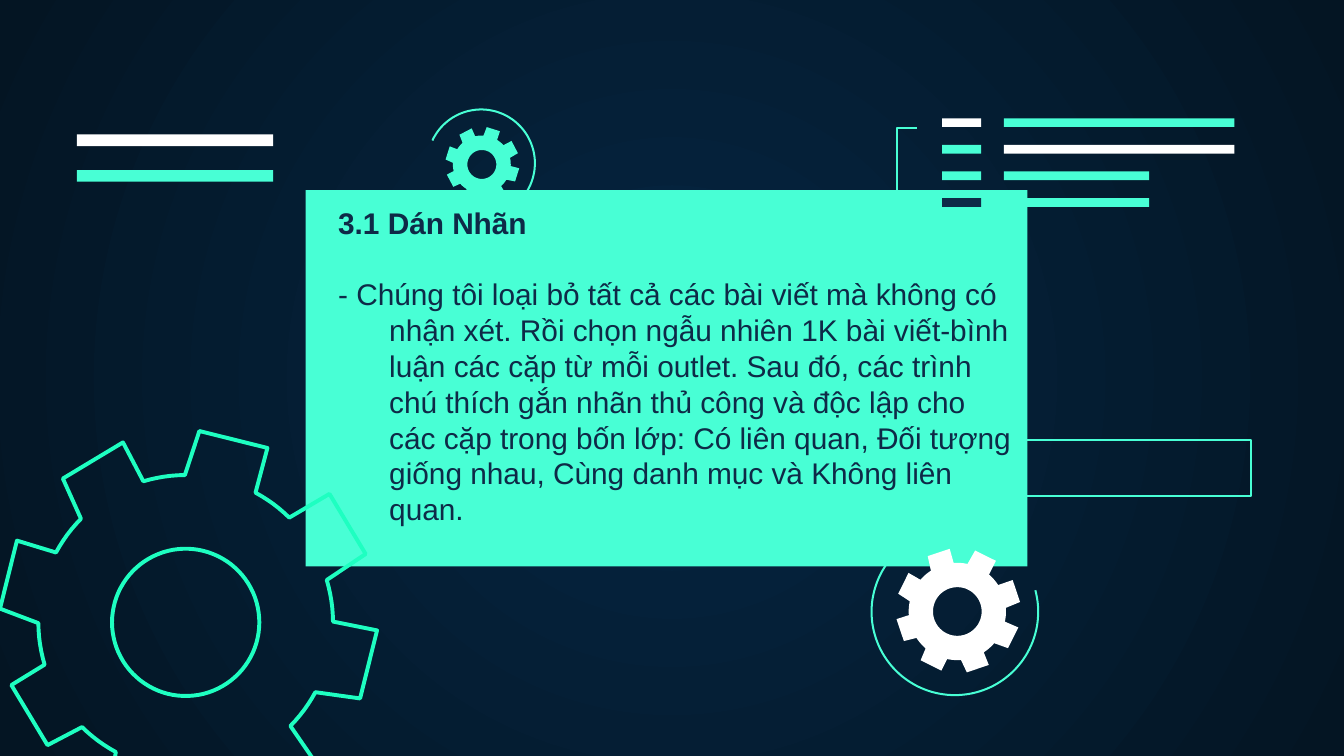
"""Build the labelling slide: a text panel among gears, arcs and bars."""
from dataclasses import dataclass
from math import cos, radians, sin

from lxml import etree
from pptx import Presentation
from pptx.dml.color import RGBColor
from pptx.enum.shapes import MSO_SHAPE
from pptx.enum.text import MSO_ANCHOR, PP_ALIGN
from pptx.oxml.ns import qn
from pptx.util import Inches, Pt

RECT = MSO_SHAPE.RECTANGLE
TOP = MSO_ANCHOR.TOP
LEFT = PP_ALIGN.LEFT


@dataclass(frozen=True)
class Theme:
    mint: str = "48FFD5"
    green: str = "1EFFC1"
    white: str = "FFFFFF"
    navy: str = "0E2A47"
    glow: str = "052643"
    night: str = "041523"
    font: str = "Arial"
    size: float = 16
    thin: float = 1.09
    thick: float = 2.1


T = Theme()
prs = Presentation()
prs.slide_width = Inches(10)
prs.slide_height = prs.slide_width * 9 // 16
U = prs.slide_width / 100
s = prs.slides.add_slide(prs.slide_layouts[6])


def arc(cx, cy, r, start, end, steps):
    angles = [radians(start + (end - start) * i / steps) for i in range(steps + 1)]
    return [(cx + r * cos(a), cy + r * sin(a)) for a in angles]


def paint(sp, fill, line, width):
    sp.shadow.inherit = False
    if fill:
        sp.fill.solid()
        sp.fill.fore_color.rgb = RGBColor.from_string(fill)
    else:
        sp.fill.background()
    if line:
        sp.line.color.rgb = RGBColor.from_string(line)
        sp.line.width = Pt(width)
    else:
        sp.line.fill.background()


bg = s.background.fill
bg.gradient()
for stop, color in zip(bg.gradient_stops, (T.glow, T.night)):
    stop.color.rgb = RGBColor.from_string(color)
grad = s.element.find(".//" + qn("a:gradFill"))
grad.remove(grad.find(qn("a:lin")))
shade = etree.SubElement(grad, qn("a:path"), path="circle")
etree.SubElement(shade, qn("a:fillToRect"), l="50000", t="50000", r="50000", b="50000")

boxes = [
    (22.75, 14.15, 53.7, 28, T.mint, None),
    (5.73, 10, 14.6, 0.87, T.white, None),
    (5.73, 12.65, 14.6, 0.87, T.mint, None),
    (72, 32.75, 21.1, 4.15, None, T.mint),
]
code_rows = [
    (T.white, T.mint, 17.15),
    (T.mint, T.white, 17.15),
    (T.mint, T.mint, 10.8),
    (T.navy, T.mint, 10.8),
]
for row, (tag, bar, width) in enumerate(code_rows):
    y = 8.8 + 1.98 * row
    boxes += [(70.1, y, 2.9, 0.65, tag, None), (74.7, y, width, 0.65, bar, None)]
for x, y, w, h, fill, line in boxes:
    sp = s.shapes.add_shape(RECT, *(round(v * U) for v in (x, y, w, h)))
    paint(sp, fill, line, T.thin)

outlines = [
    ([arc(35.8, 12.15, 4, 205, 456, 90)], False, None, T.mint, T.thin),
    ([arc(71.05, 45.53, 6.2, -15, 233, 90)], False, None, T.mint, T.thin),
    ([[(68.3, 15.6), (66.75, 15.6), (66.75, 9.5), (68.2, 9.5)]],
     False, None, T.mint, T.thin),
]
gears = [
    (14.03, 46.1, 14.05, 14, None, T.green),
    (71.3, 45.43, 4.64, 26.4, T.white, None),
    (35.9, 12.2, 2.76, 17.5, T.mint, None),
]
for cx, cy, r, phase, fill, line in gears:
    hub = (cx - 0.015 * r, cy + 0.015 * r)
    rim = []
    for mid in range(0, 360, 45):
        a = phase + mid
        rim += arc(cx, cy, r, a - 10.7, a + 10.7, 1)
        rim += arc(*hub, 0.78 * r, a + 14.3, a + 30.7, 6)
    outlines.append(([rim, arc(*hub, 0.39 * r, 360, 0, 90)], True, fill, line, T.thick))
for contours, close, fill, line, width in outlines:
    first, *others = [[(x * U, y * U) for x, y in c] for c in contours]
    pen = s.shapes.build_freeform(*first[0])
    pen.add_line_segments(first[1:], close=close)
    for contour in others:
        pen.move_to(*contour[0])
        pen.add_line_segments(contour[1:], close=close)
    paint(pen.convert_to_shape(), fill, line, width)

texts = [
    ("3.1 Dán Nhãn", True, 0),
    ("- Chúng tôi loại bỏ tất cả các bài viết mà không có nhận xét. "
     "Rồi chọn ngẫu nhiên 1K bài viết-bình luận các cặp từ mỗi outlet. "
     "Sau đó, các trình chú thích gắn nhãn thủ công và độc lập cho các cặp "
     "trong bốn lớp: Có liên quan, Đối tượng giống nhau, Cùng danh mục và "
     "Không liên quan.", False, 1.2 * T.size),
]
tf = s.shapes.add_textbox(*(round(v * U) for v in (22.98, 14.2, 53.6, 27.6))).text_frame
tf.word_wrap = True
tf.vertical_anchor = TOP
tf.margin_left = tf.margin_right = tf.margin_top = tf.margin_bottom = round(U)
for i, (text, bold, gap) in enumerate(texts):
    p = tf.add_paragraph() if i else tf.paragraphs[0]
    p.text = text
    p.alignment = LEFT
    p.line_spacing = 1.0
    p.space_before = Pt(gap)
    pPr = p._p.get_or_add_pPr()
    pPr.set("marL", str(round(5 * U)))
    pPr.set("indent", str(round(-3.8 * U)))
    r = p.runs[0]
    r.font.name, r.font.size, r.font.bold = T.font, Pt(T.size), bold
    r.font.color.rgb = RGBColor.from_string(T.navy)

prs.save("out.pptx")
